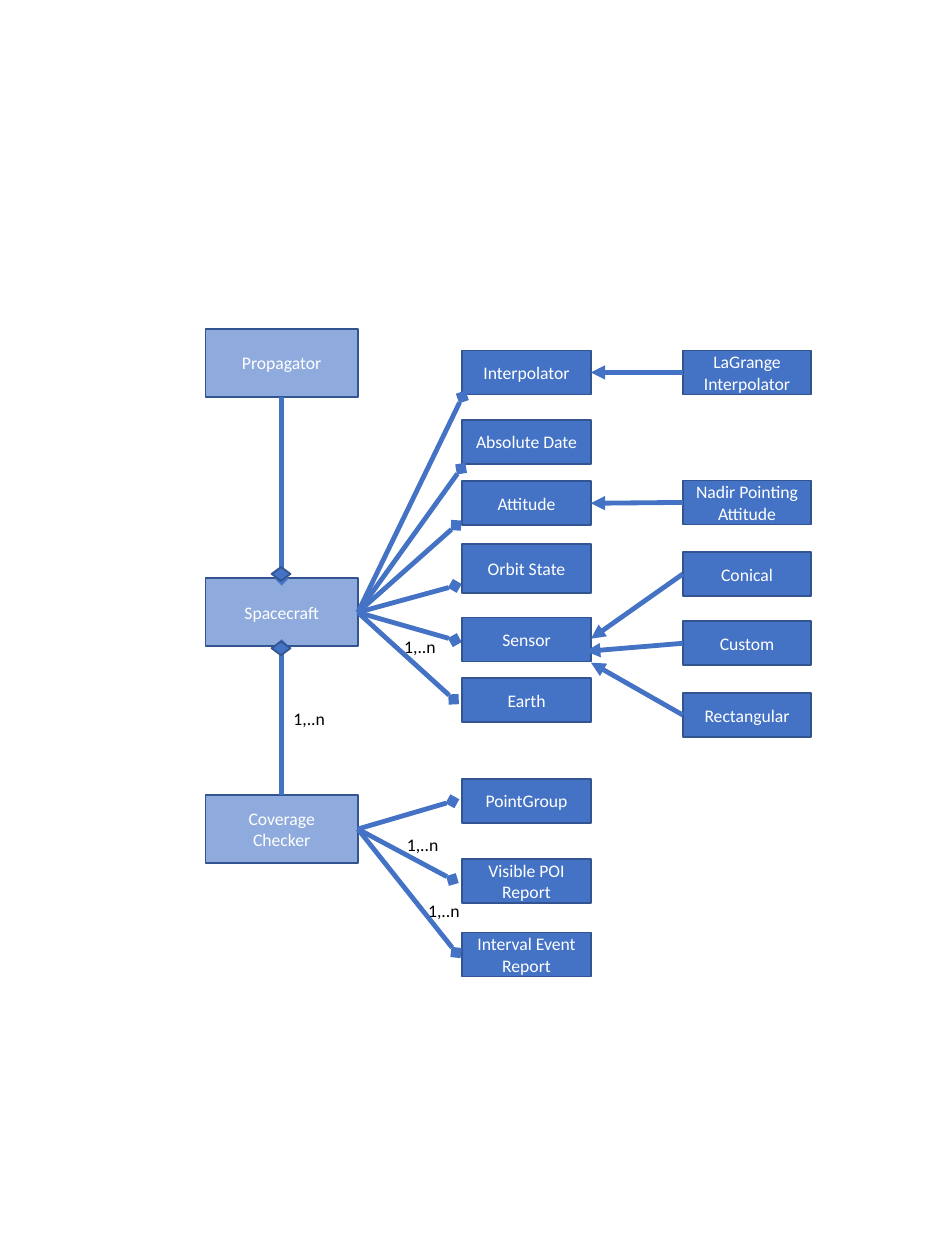
"""Builds a class diagram of a spacecraft coverage simulation."""
from pptx import Presentation, util as u
from pptx.dml import color
from pptx.enum import shapes, text
from pptx.oxml import ns, xmlchemy


def rgb(value):
    return color.RGBColor.from_string(value)


def write(frame, wording, size=10.1, font="Calibri", ink="FFFFFF", align=text.PP_ALIGN.CENTER):
    for index, line in enumerate(wording.split("\n")):
        paragraph = frame.paragraphs[0] if index == 0 else frame.add_paragraph()
        paragraph.alignment = align
        run = paragraph.add_run()
        run.text = line
        run.font.size = u.Pt(size)
        run.font.name = font
        run.font.color.rgb = rgb(ink)


class Diagram:
    BLUE, PALE, EDGE, INK = "4472C4", "8FAADC", "325491", "000000"

    def __init__(self, slide):
        self.slide = slide

    def block(self, left, top, width, height, fill, kind=shapes.MSO_SHAPE.RECTANGLE):
        shape = self.slide.shapes.add_shape(kind, u.Pt(left), u.Pt(top), u.Pt(width), u.Pt(height))
        shape.shadow.inherit = False
        shape.fill.solid()
        shape.fill.fore_color.rgb = rgb(fill)
        shape.line.color.rgb = rgb(self.EDGE)
        shape.line.width = u.Pt(1)
        return shape

    def box(self, wording, left, top, width=73.4, height=25.2, fill=BLUE):
        shape = self.block(left, top, width, height, fill)
        frame = shape.text_frame
        frame.word_wrap = True
        frame.vertical_anchor = text.MSO_ANCHOR.MIDDLE
        frame.margin_left = frame.margin_right = u.Pt(4)
        write(frame, wording)
        return shape

    def diamond(self, left, top):
        self.block(left, top, 10.8, 7.9, self.BLUE, shapes.MSO_SHAPE.FLOWCHART_DECISION)

    def label(self, wording, left, top):
        shape = self.slide.shapes.add_textbox(u.Pt(left), u.Pt(top), u.Pt(32.4), u.Pt(19.4))
        shape.text_frame.word_wrap = False
        shape.text_frame.auto_size = text.MSO_AUTO_SIZE.SHAPE_TO_FIT_TEXT
        write(shape.text_frame, wording, ink=self.INK, align=text.PP_ALIGN.LEFT)

    def link(self, source, side, head, point=(0, 0), target=None, target_side=0):
        connector = self.slide.shapes.add_connector(
            shapes.MSO_CONNECTOR.STRAIGHT, 0, 0, u.Pt(point[0]), u.Pt(point[1]))
        connector.begin_connect(source, side)
        if target is not None:
            connector.end_connect(target, target_side)
        connector.line.color.rgb = rgb(self.BLUE)
        connector.line.width = u.Pt(2.75)
        properties = connector.element.spPr
        tail = xmlchemy.OxmlElement("a:tailEnd")
        tail.set("type", head)
        properties.find(ns.qn("a:ln")).append(tail)
        properties.append(xmlchemy.OxmlElement("a:effectLst"))


def main():
    presentation = Presentation()
    presentation.slide_width, presentation.slide_height = u.Pt(540), u.Pt(720)
    diagram = Diagram(presentation.slides.add_slide(presentation.slide_layouts[6]))
    top_side, left_side, bottom_side, right_side = range(4)

    propagator, spacecraft, checker = [
        diagram.box(name, 117.4, top, 87.1, 38.9, diagram.PALE)
        for name, top in (("Propagator", 187.9), ("Spacecraft", 330.5), ("Coverage\nChecker", 454.3))]

    parts = {}
    for name, top, height, owner, end in (
            ("Interpolator", 200.2, 25.2, spacecraft, (264.2, 226.8)),
            ("Absolute Date", 239.8, 25.2, spacecraft, (263.5, 267.8)),
            ("Attitude", 275, 25.2, spacecraft, (260.6, 300.2)),
            ("Orbit State", 311, 28.1, spacecraft, (259.9, 334.8)),
            ("Sensor", 352.8, 25.2, spacecraft, (259.9, 365.8)),
            ("Earth", 387.4, 25.2, spacecraft, (259.2, 399.6)),
            ("PointGroup", 445, 25.2, checker, (258.5, 457.9)),
            ("Visible POI\nReport", 491, 25.2, checker, (258.5, 502.6)),
            ("Interval Event Report", 532.8, 25.2, checker, (260.6, 544.3))):
        parts[name] = diagram.box(name, 264.2, top, height=height)
        diagram.link(owner, right_side, "diamond", end)

    for name, top, parent in (("LaGrange\nInterpolator", 200.2, "Interpolator"),
                              ("Nadir Pointing Attitude", 274.5, "Attitude")):
        subtype = diagram.box(name, 390.2, top)
        diagram.link(subtype, left_side, "triangle", target=parts[parent], target_side=right_side)

    for name, top, end in (("Conical", 315.4, (337.7, 365)),
                           ("Custom", 355, (334.8, 372.2)),
                           ("Rectangular", 396, (337.7, 378.7))):
        diagram.link(diagram.box(name, 390.2, top), left_side, "triangle", end)

    diagram.link(propagator, bottom_side, "diamond", target=spacecraft, target_side=top_side)
    diagram.link(checker, top_side, "diamond", target=spacecraft, target_side=bottom_side)
    for top in (324, 366.5):
        diagram.diamond(155.2, top)

    for left, top in ((160.6, 401), (223.9, 360), (225.4, 473), (237.6, 510.5)):
        diagram.label("1,..n", left, top)

    presentation.save("out.pptx")


if __name__ == "__main__":
    main()
